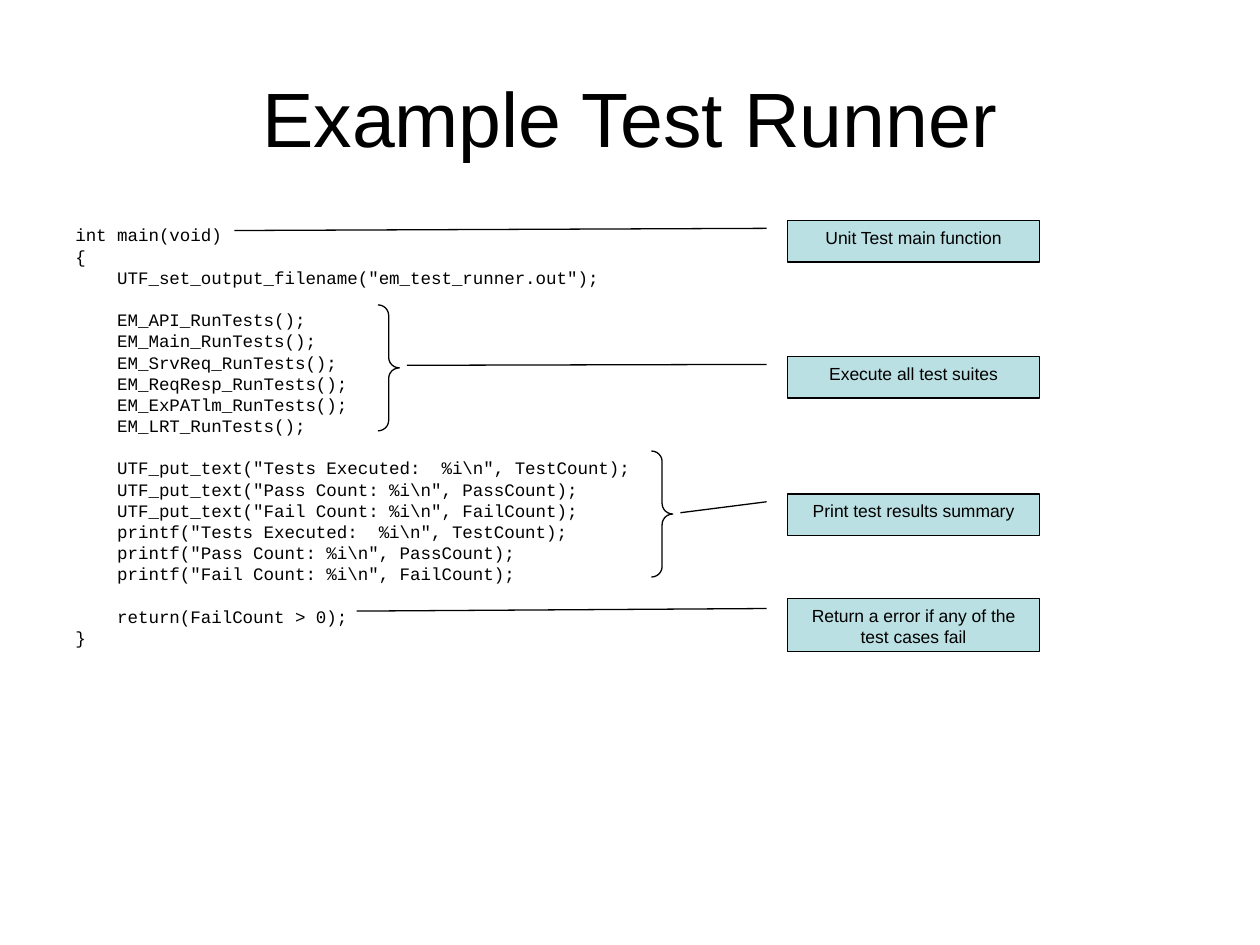
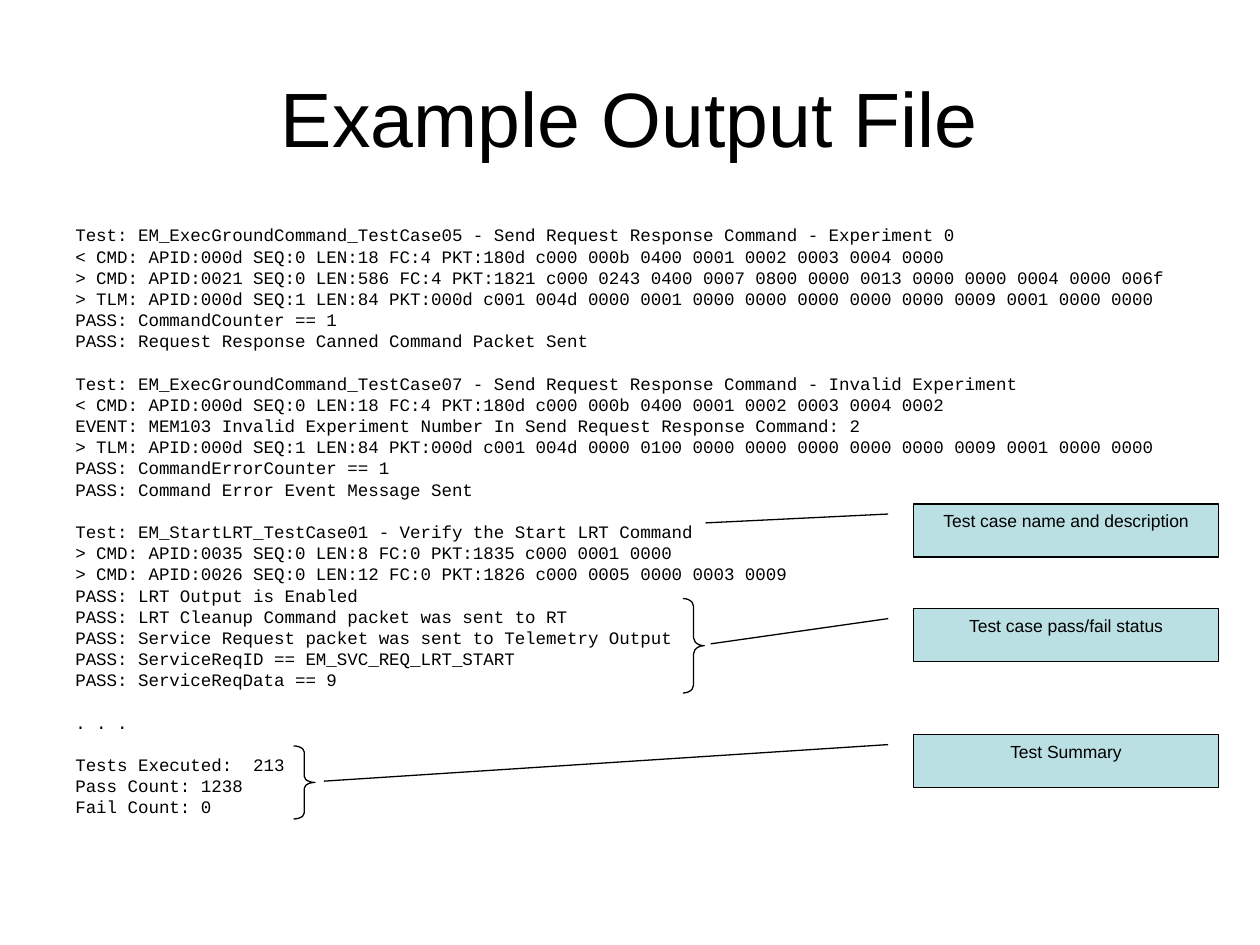
"""Build two slides that annotate a unit test runner and its output file."""
from dataclasses import dataclass

from pptx import Presentation
from pptx.dml.color import RGBColor
from pptx.enum.shapes import MSO_SHAPE as Preset
from pptx.enum.text import MSO_ANCHOR as Anchor, PP_ALIGN as Align
from pptx.util import Inches, Pt

BLACK = RGBColor(0x00, 0x00, 0x00)
PALE_TEAL = RGBColor(0xBB, 0xE0, 0xE3)

TITLE_FONT = {"name": "Arial", "size": Pt(44)}
CODE_FONT = {"name": "Courier New", "size": Pt(10)}
LABEL_FONT = {"name": "Arial", "size": Pt(10)}

LINE_PITCH = Pt(12.1)
OUTLINE_WIDTH = Pt(0.75)
BRACE_WIDTH = 0.17
LEADER_START = (0.19, -0.083)


@dataclass(frozen=True)
class Callout:
    """A label box whose leader line ends at a tip."""

    text: str
    top: float
    height: float
    tip_x: float
    tip_y: float


@dataclass(frozen=True)
class Brace:
    """A right brace that groups lines of code."""

    left: float
    top: float
    height: float


@dataclass(frozen=True)
class Page:
    """A titled listing, in blocks of lines, with its annotations."""

    title: str
    listing: tuple[str, ...]
    callout_left: float
    callout_width: float
    callouts: tuple[Callout, ...]
    braces: tuple[Brace, ...]


RUNNER_CODE = (
    r"""int main(void)
{
    UTF_set_output_filename("em_test_runner.out");""",
    r"""    EM_API_RunTests();
    EM_Main_RunTests();
    EM_SrvReq_RunTests();
    EM_ReqResp_RunTests();
    EM_ExPATlm_RunTests();
    EM_LRT_RunTests();""",
    r"""    UTF_put_text("Tests Executed:  %i\n", TestCount);
    UTF_put_text("Pass Count: %i\n", PassCount);
    UTF_put_text("Fail Count: %i\n", FailCount);
    printf("Tests Executed:  %i\n", TestCount);
    printf("Pass Count: %i\n", PassCount);
    printf("Fail Count: %i\n", FailCount);""",
    r"""    return(FailCount > 0);
}""",
)

OUTPUT_LOG = (
    """Test: EM_ExecGroundCommand_TestCase05 - Send Request Response Command - Experiment 0
< CMD: APID:000d SEQ:0 LEN:18 FC:4 PKT:180d c000 000b 0400 0001 0002 0003 0004 0000
> CMD: APID:0021 SEQ:0 LEN:586 FC:4 PKT:1821 c000 0243 0400 0007 0800 0000 0013 0000 0000 0004 0000 006f
> TLM: APID:000d SEQ:1 LEN:84 PKT:000d c001 004d 0000 0001 0000 0000 0000 0000 0000 0009 0001 0000 0000
PASS: CommandCounter == 1
PASS: Request Response Canned Command Packet Sent""",
    """Test: EM_ExecGroundCommand_TestCase07 - Send Request Response Command - Invalid Experiment
< CMD: APID:000d SEQ:0 LEN:18 FC:4 PKT:180d c000 000b 0400 0001 0002 0003 0004 0002
EVENT: MEM103 Invalid Experiment Number In Send Request Response Command: 2
> TLM: APID:000d SEQ:1 LEN:84 PKT:000d c001 004d 0000 0100 0000 0000 0000 0000 0000 0009 0001 0000 0000
PASS: CommandErrorCounter == 1
PASS: Command Error Event Message Sent""",
    """Test: EM_StartLRT_TestCase01 - Verify the Start LRT Command
> CMD: APID:0035 SEQ:0 LEN:8 FC:0 PKT:1835 c000 0001 0000
> CMD: APID:0026 SEQ:0 LEN:12 FC:0 PKT:1826 c000 0005 0000 0003 0009
PASS: LRT Output is Enabled
PASS: LRT Cleanup Command packet was sent to RT
PASS: Service Request packet was sent to Telemetry Output
PASS: ServiceReqID == EM_SVC_REQ_LRT_START
PASS: ServiceReqData == 9""",
    ". . .",
    """Tests Executed:  213
Pass Count: 1238
Fail Count: 0""",
)

PAGES = (
    Page(
        "Example Test Runner", RUNNER_CODE, 6.25, 2,
        (
            Callout("Unit Test main function", 1.75, 0.33, 1.86, 1.83),
            Callout("Execute all test suites", 2.83, 0.33, 3.23, 2.9),
            Callout("Print test results summary", 3.92, 0.33, 5.4, 4.07),
            Callout("Return a error if any of the test cases fail", 4.75, 0.42, 2.83, 4.85),
        ),
        (Brace(3, 2.42, 1), Brace(5.17, 3.58, 1)),
    ),
    Page(
        "Example Output File", OUTPUT_LOG, 7.25, 2.42,
        (
            Callout("Test case name and description", 4, 0.42, 5.6, 4.15),
            Callout("Test case pass/fail status", 4.83, 0.42, 5.64, 5.11),
            Callout("Test Summary", 5.83, 0.42, 2.57, 6.2),
        ),
        (Brace(5.42, 4.75, 0.75), Brace(2.33, 5.92, 0.58)),
    ),
)


def apply_format(target, values: dict) -> None:
    """Set each attribute named in values."""
    for name, value in values.items():
        setattr(target, name, value)


def write_para(para, text: str, font: dict, layout: dict) -> None:
    """Write one formatted paragraph."""
    apply_format(para, layout)
    span = para.add_run()
    span.text = text
    apply_format(span.font, font)
    span.font.color.rgb = BLACK


def outline(shape) -> None:
    """Give a shape a thin black line and no shadow."""
    shape.shadow.inherit = False
    shape.line.color.rgb = BLACK
    shape.line.width = OUTLINE_WIDTH


def add_title(slide, text: str) -> None:
    """Draw the centred slide title."""
    box = slide.shapes.add_textbox(Inches(0.5), Inches(0.3), Inches(9), Inches(1.25))
    apply_format(box.text_frame, {"word_wrap": True, "vertical_anchor": Anchor.MIDDLE})
    write_para(box.text_frame.paragraphs[0], text, TITLE_FONT, {"alignment": Align.CENTER})


def add_listing(slide, listing: tuple[str, ...]) -> None:
    """Draw the listing, with one line of space between its blocks."""
    box = slide.shapes.add_textbox(Inches(0.5), Inches(1.75), Inches(9), Inches(4.95))
    frame = box.text_frame
    apply_format(frame, {"word_wrap": True, "margin_top": Inches(0.03)})
    para = frame.paragraphs[0]
    for block_index, block in enumerate(listing):
        for line_index, line in enumerate(block.split("\n")):
            if block_index or line_index:
                para = frame.add_paragraph()
            starts_block = block_index > 0 and line_index == 0
            gap = LINE_PITCH if starts_block else Pt(0)
            write_para(para, line, CODE_FONT, {"line_spacing": LINE_PITCH, "space_before": gap})


def add_brace(slide, brace: Brace) -> None:
    """Draw a brace whose corners scale with its height."""
    shape = slide.shapes.add_shape(
        Preset.RIGHT_BRACE, Inches(brace.left), Inches(brace.top),
        Inches(BRACE_WIDTH), Inches(brace.height),
    )
    shape.adjustments[0] = brace.height / 12 / BRACE_WIDTH
    shape.fill.background()
    outline(shape)


def add_callout(slide, callout: Callout, left: float, width: float) -> None:
    """Draw a label box with its leader line."""
    shape = slide.shapes.add_shape(
        Preset.LINE_CALLOUT_1, Inches(left), Inches(callout.top),
        Inches(width), Inches(callout.height),
    )
    tip = ((callout.tip_y - callout.top) / callout.height, (callout.tip_x - left) / width)
    for index, value in enumerate(LEADER_START + tip):
        shape.adjustments[index] = value
    shape.fill.solid()
    shape.fill.fore_color.rgb = PALE_TEAL
    outline(shape)
    apply_format(shape.text_frame, {"word_wrap": True, "vertical_anchor": Anchor.TOP})
    write_para(shape.text_frame.paragraphs[0], callout.text, LABEL_FONT, {"alignment": Align.CENTER})


def main() -> None:
    """Build and save the deck."""
    deck = Presentation()
    deck.slide_width, deck.slide_height = Inches(10), Inches(7.5)
    for page in PAGES:
        slide = deck.slides.add_slide(deck.slide_layouts[6])
        add_title(slide, page.title)
        add_listing(slide, page.listing)
        for brace in page.braces:
            add_brace(slide, brace)
        for callout in page.callouts:
            add_callout(slide, callout, page.callout_left, page.callout_width)
    deck.save("out.pptx")


if __name__ == "__main__":
    main()
